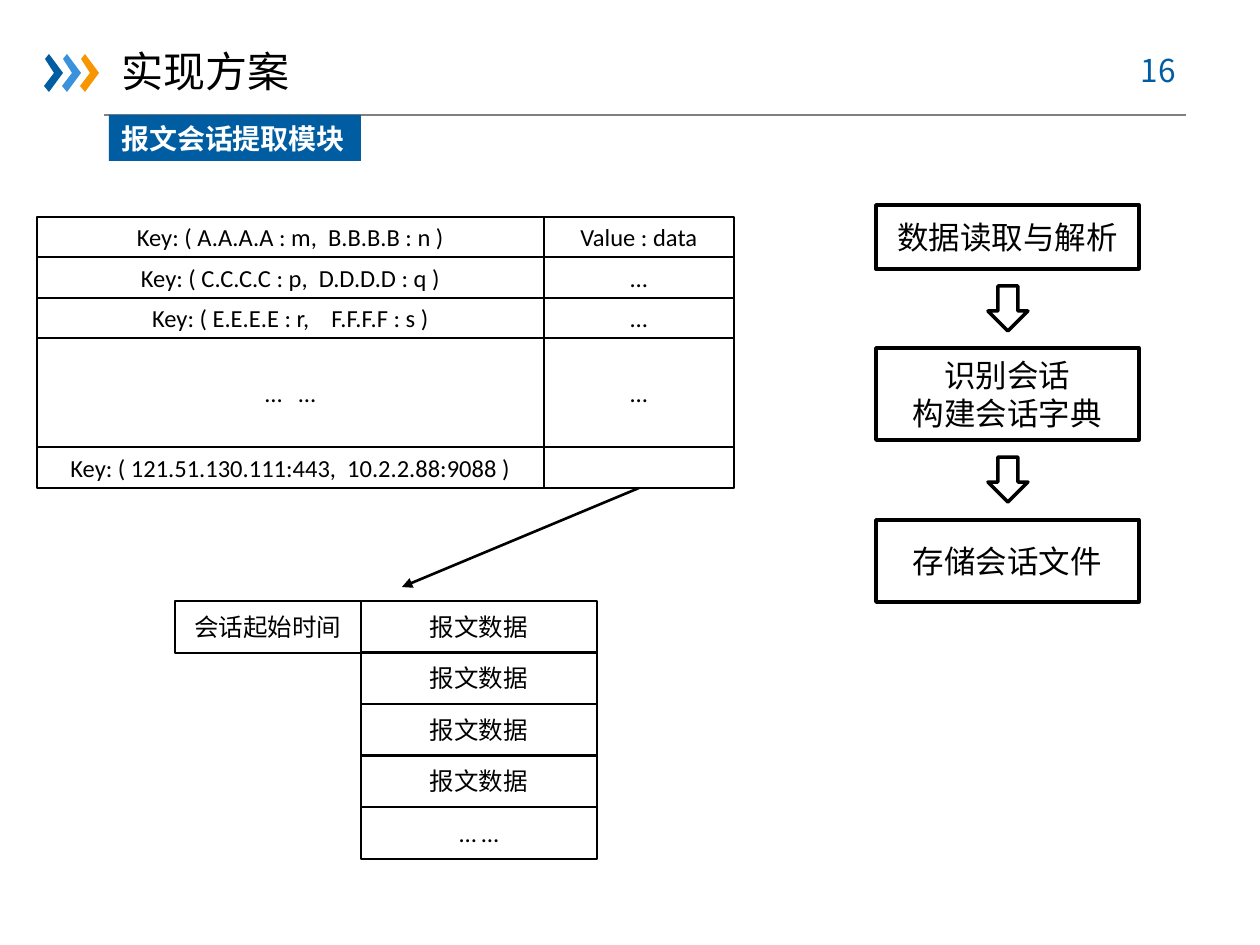
"""Build the slide on the packet session extraction module."""
from lxml import etree
from pptx import Presentation, util as u
from pptx.dml.color import RGBColor
from pptx.enum import shapes, text
from pptx.oxml import ns

SCALE = 914400 / 126
NOTO = "Noto Sans CJK SC"
BLUE = "005DA2"
BLACK = "000000"
RECT = shapes.MSO_SHAPE.RECTANGLE
ARROW = shapes.MSO_SHAPE.DOWN_ARROW


def px(*nums):
    return [u.Emu(round(num * SCALE)) for num in nums]


def color(code):
    return RGBColor.from_string(code)


def write(shape, words, size=14, font="Calibri", ink=BLACK, bold=False,
          align=text.PP_ALIGN.CENTER, wrap=True):
    frame = shape.text_frame
    frame.text = words
    frame.word_wrap = wrap
    frame.auto_size = text.MSO_AUTO_SIZE.NONE
    frame.vertical_anchor = text.MSO_ANCHOR.MIDDLE
    frame.margin_left = frame.margin_right = u.Inches(0.1)
    frame.margin_top = frame.margin_bottom = u.Inches(0.05)
    for para in frame.paragraphs:
        para.alignment = align
        for run in para.runs:
            run.font.size = u.Pt(size)
            run.font.name = font
            run.font.bold = bold
            run.font.color.rgb = color(ink)
            east = etree.SubElement(run.font._element, ns.qn("a:ea"))
            east.set("typeface", font)


def paint(shape, fill=None, line=None, width=1):
    shape.shadow.inherit = False
    if fill:
        shape.fill.solid()
        shape.fill.fore_color.rgb = color(fill)
    else:
        shape.fill.background()
    if line:
        shape.line.color.rgb = color(line)
        shape.line.width = u.Pt(width)
    else:
        shape.line.fill.background()


def box(slide, place, words="", kind=RECT, fill=None, line=BLACK, width=1,
        **style):
    shape = slide.shapes.add_shape(kind, *px(*place))
    paint(shape, fill, line, width)
    if words:
        write(shape, words, **style)


def rule(slide, ends, ink=BLACK, width=1.5, head=False):
    line = slide.shapes.add_connector(shapes.MSO_CONNECTOR.STRAIGHT, *px(*ends))
    line.line.color.rgb = color(ink)
    line.line.width = u.Pt(width)
    if head:
        tip = etree.SubElement(line.line._get_or_add_ln(), ns.qn("a:tailEnd"))
        tip.set("type", "triangle")
    etree.SubElement(line._element.spPr, ns.qn("a:effectLst"))


def chevron(slide, left, fill):
    points = [(1, 59), (5, 54), (19, 73), (5, 92), (0, 86), (10, 73)]
    start, *rest = [px(left + x, y) for x, y in points]
    form = slide.shapes.build_freeform(*start)
    form.add_line_segments(rest, close=True)
    paint(form.convert_to_shape(), fill)


def header(slide):
    title = slide.shapes.title
    title.left, title.top, title.width, title.height = px(108, 39, 195, 63)
    write(title, "实现方案", size=24, font=NOTO, wrap=False)
    rule(slide, (104, 115, 1186, 115), "808080", 0.75)
    for left, fill in zip((44, 62, 80), (BLUE, "3992DB", "F79600")):
        chevron(slide, left, fill)
    number = slide.shapes.add_textbox(*px(1116, 44, 92, 51))
    write(number, "16 ", size=18, font=NOTO, ink=BLUE)
    box(slide, (109, 115, 252, 46), "报文会话提取模块", fill=BLUE, line=None,
        size=16, font=NOTO, ink="FFFFFF", bold=True,
        align=text.PP_ALIGN.LEFT, wrap=False)


def flow(slide):
    steps = [
        (205, 64, "数据读取与解析"),
        (348, 92, "识别会话\n构建会话字典"),
        (520, 82, "存储会话文件"),
    ]
    for top, high, words in steps:
        box(slide, (876, top, 263, high), words, width=2, size=18)
    for top in (286, 457):
        box(slide, (988, top, 40, 45), kind=ARROW, width=2)


def lookup(slide):
    rows = [
        ("Key: ( A.A.A.A : m,  B.B.B.B : n )", "Value : data"),
        ("Key: ( C.C.C.C : p,  D.D.D.D : q )", "…"),
        ("Key: ( E.E.E.E : r,    F.F.F.F : s )", "…"),
        ("…   …", "…"),
        ("Key: ( 121.51.130.111:443,  10.2.2.88:9088 )", ""),
    ]
    edges = [217, 257, 298, 338, 447, 488]
    for top, end, (key, value) in zip(edges, edges[1:], rows):
        box(slide, (37, top, 507, end - top), key)
        box(slide, (544, top, 190, end - top), value)


def session(slide):
    rule(slide, (639, 488, 402, 587), head=True)
    box(slide, (175, 601, 186, 52), "会话起始时间")
    for row, words in enumerate(["报文数据"] * 4 + ["… …"]):
        box(slide, (361, 601 + row * 258 // 5, 236, 52), words)


def main():
    deck = Presentation()
    deck.slide_width, deck.slide_height = px(1260, 945)
    slide = deck.slides.add_slide(deck.slide_layouts[5])
    header(slide)
    flow(slide)
    lookup(slide)
    session(slide)
    deck.save("out.pptx")


if __name__ == "__main__":
    main()
